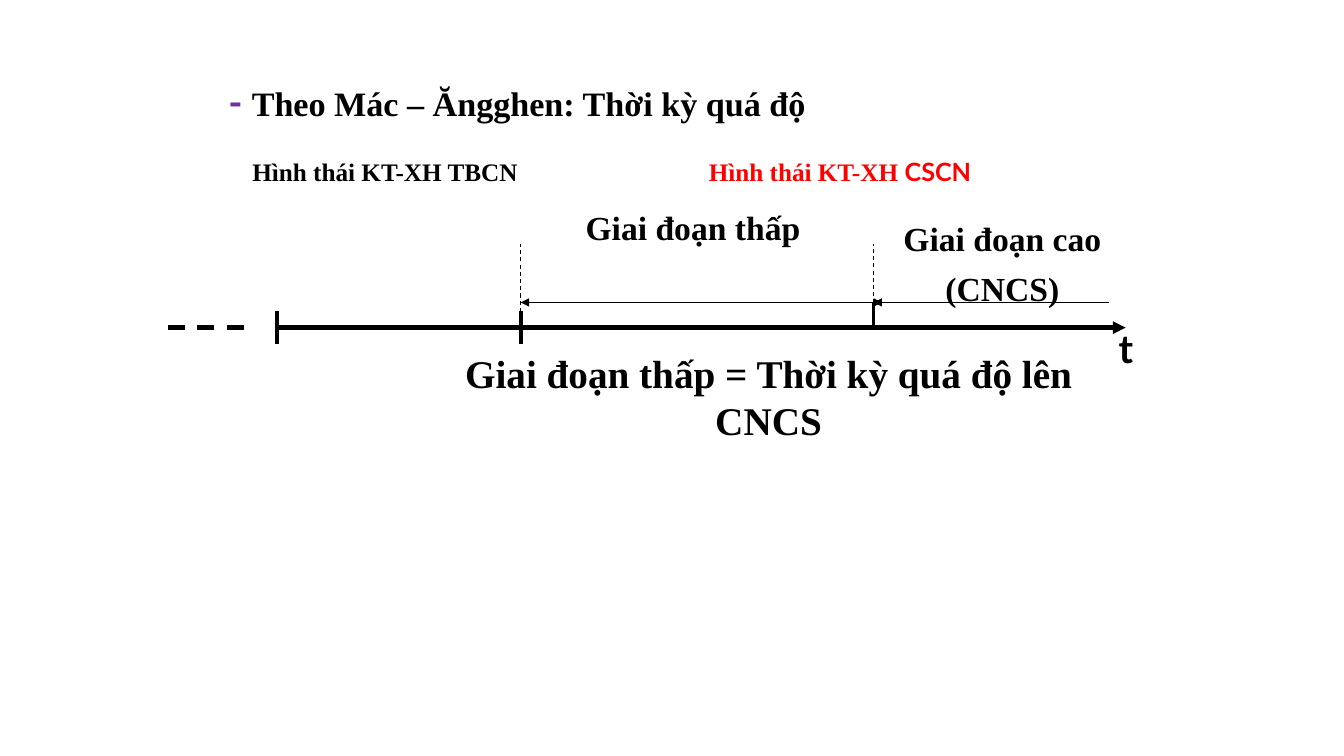
from dataclasses import dataclass

import pptx
import pptx.dml.color
import pptx.enum.dml
import pptx.enum.shapes
import pptx.enum.text
import pptx.oxml.xmlchemy
import pptx.util

Pt = pptx.util.Pt
ALIGN = pptx.enum.text.PP_ALIGN
ANCHOR = pptx.enum.text.MSO_ANCHOR

BLACK, RED, PURPLE = "000000", "FF0000", "7030A0"
SERIF, SANS = "Times New Roman", "Lato"

# Shared positions on the time axis, in points
AXIS_Y, SPAN_Y = 234, 216
CAPITALISM_X, LOW_STAGE_X, HIGH_STAGE_X = 198, 372, 624


@dataclass
class Stroke:
    start: tuple[float, float]
    end: tuple[float, float]
    width: float = 3
    dashed: bool = False
    head: bool = False
    tail: bool = False


@dataclass
class Run:
    text: str
    size: float
    font: str = SERIF
    color: str = BLACK


@dataclass
class Label:
    box: tuple[float, float, float, float]
    lines: list[list[Run]]
    align: ALIGN = ALIGN.CENTER
    anchor: ANCHOR = ANCHOR.TOP
    bottom_inset: float = 3.6
    grow: bool = True


def rgb(value: str) -> pptx.dml.color.RGBColor:
    return pptx.dml.color.RGBColor.from_string(value)


def draw_stroke(slide, stroke: Stroke) -> None:
    ends = [Pt(value) for value in (*stroke.start, *stroke.end)]
    connector = slide.shapes.add_connector(
        pptx.enum.shapes.MSO_CONNECTOR.STRAIGHT, *ends)
    connector.line.width = Pt(stroke.width)
    connector.line.color.rgb = rgb(BLACK)
    if stroke.dashed:
        connector.line.dash_style = pptx.enum.dml.MSO_LINE.DASH
    properties = connector.line._get_or_add_ln()
    for tag, wanted in (("a:headEnd", stroke.head), ("a:tailEnd", stroke.tail)):
        if wanted:
            arrow = pptx.oxml.xmlchemy.OxmlElement(tag)
            arrow.set("type", "triangle")
            properties.append(arrow)
    connector._element.spPr.append(pptx.oxml.xmlchemy.OxmlElement("a:effectLst"))


def add_run(paragraph, text: str, *, size: float, font: str, color: str) -> None:
    run = paragraph.add_run()
    run.text = text
    run.font.size = Pt(size)
    run.font.name = font
    run.font.bold = True
    run.font.color.rgb = rgb(color)


def draw_label(slide, label: Label) -> None:
    frame = slide.shapes.add_textbox(*[Pt(value) for value in label.box]).text_frame
    frame.word_wrap = True
    frame.vertical_anchor = label.anchor
    frame.margin_bottom = Pt(label.bottom_inset)
    if label.grow:
        frame.auto_size = pptx.enum.text.MSO_AUTO_SIZE.SHAPE_TO_FIT_TEXT
    for index, line in enumerate(label.lines):
        paragraph = frame.add_paragraph() if index else frame.paragraphs[0]
        paragraph.alignment = label.align
        if index:
            paragraph.space_before = Pt(7)
        for run in line:
            add_run(paragraph, run.text, size=run.size, font=run.font, color=run.color)


STROKES = [
    # Time axis and its dashed past
    Stroke((CAPITALISM_X, AXIS_Y), (804, AXIS_Y), tail=True),
    Stroke((120, AXIS_Y), (174, AXIS_Y), dashed=True),
    # Ticks
    *[Stroke((x, AXIS_Y - 12), (x, AXIS_Y + 12)) for x in (CAPITALISM_X, LOW_STAGE_X)],
    Stroke((HIGH_STAGE_X, AXIS_Y), (HIGH_STAGE_X, SPAN_Y), width=2.25),
    # Stage boundaries
    Stroke((LOW_STAGE_X, 228), (LOW_STAGE_X, 174), width=0.75, dashed=True),
    Stroke((HIGH_STAGE_X, 222), (HIGH_STAGE_X, 174), width=0.75, dashed=True),
    # Stage spans
    Stroke((LOW_STAGE_X, SPAN_Y), (630, SPAN_Y), width=0.75, head=True, tail=True),
    Stroke((HIGH_STAGE_X, SPAN_Y), (792, SPAN_Y), width=0.75, head=True),
]

LABELS = [
    # Title
    Label((156, 54, 612, 42),
          [[Run("- ", 27.3, SANS, PURPLE), Run("Theo Mác – Ăngghen: Thời kỳ quá độ", 24.4)]],
          align=ALIGN.LEFT, anchor=ANCHOR.BOTTOM, bottom_inset=7.2, grow=False),
    # Social formations
    Label((158, 108, 234, 28), [[Run("Hình thái KT-XH TBCN", 18)]]),
    Label((438, 108, 324, 29),
          [[Run("Hình thái KT-XH ", 18, color=RED), Run("CSCN", 18, SANS, RED)]]),
    # Stages
    Label((366, 144, 258, 36), [[Run("Giai đoạn thấp", 24)]]),
    Label((602, 152, 228, 70), [[Run("Giai đoạn cao", 24)], [Run("(CNCS)", 24)]]),
    # Conclusion and axis name
    Label((300, 246, 498, 75), [[Run("Giai đoạn thấp = Thời kỳ quá độ lên CNCS", 28)]]),
    Label((792, 228, 24, 41), [[Run("t", 28, SANS)]], align=ALIGN.LEFT),
]


def main() -> None:
    deck = pptx.Presentation()
    deck.slide_width, deck.slide_height = Pt(960), Pt(540)
    slide = deck.slides.add_slide(deck.slide_layouts[6])
    for stroke in STROKES:
        draw_stroke(slide, stroke)
    for label in LABELS:
        draw_label(slide, label)
    deck.save("out.pptx")


if __name__ == "__main__":
    main()
